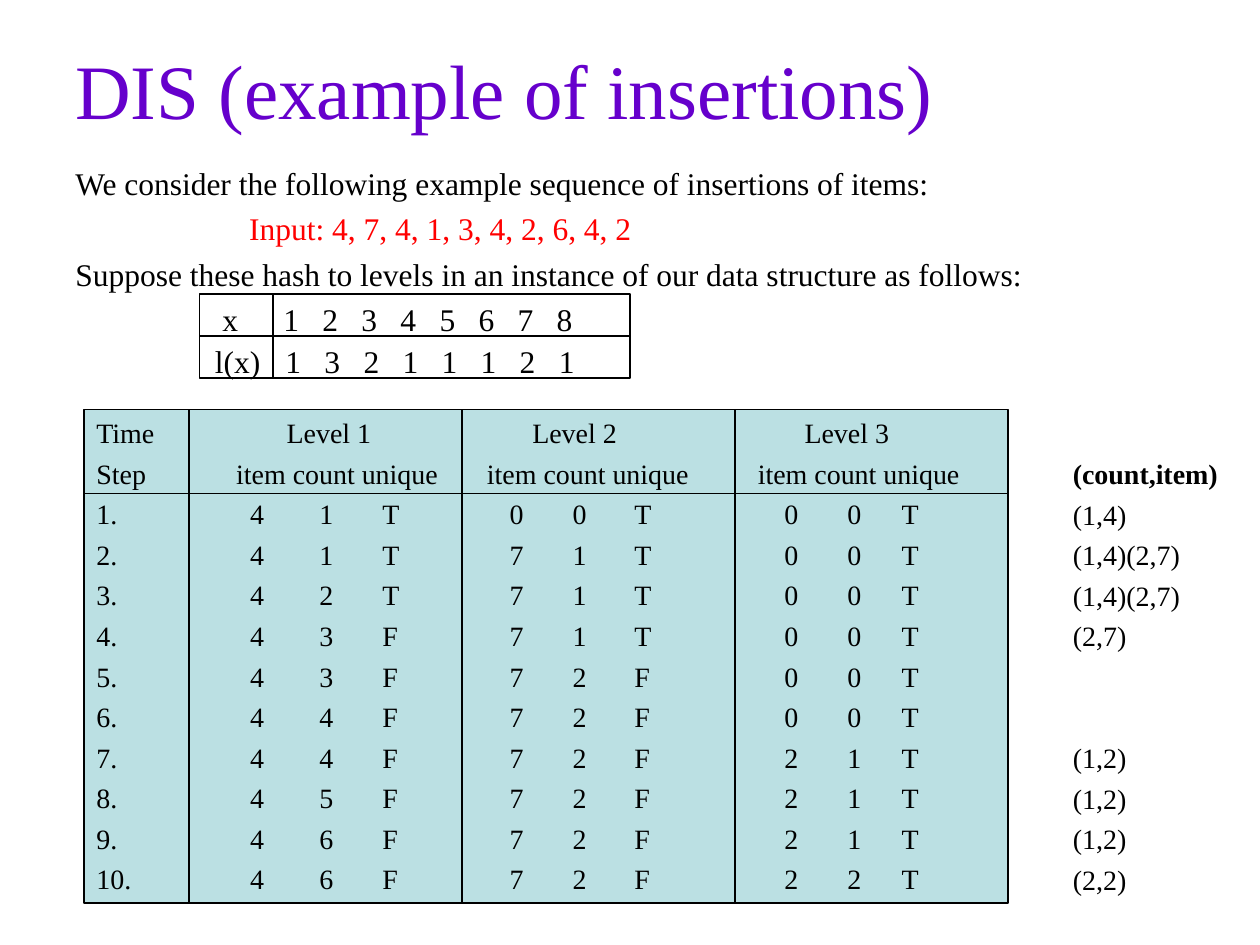
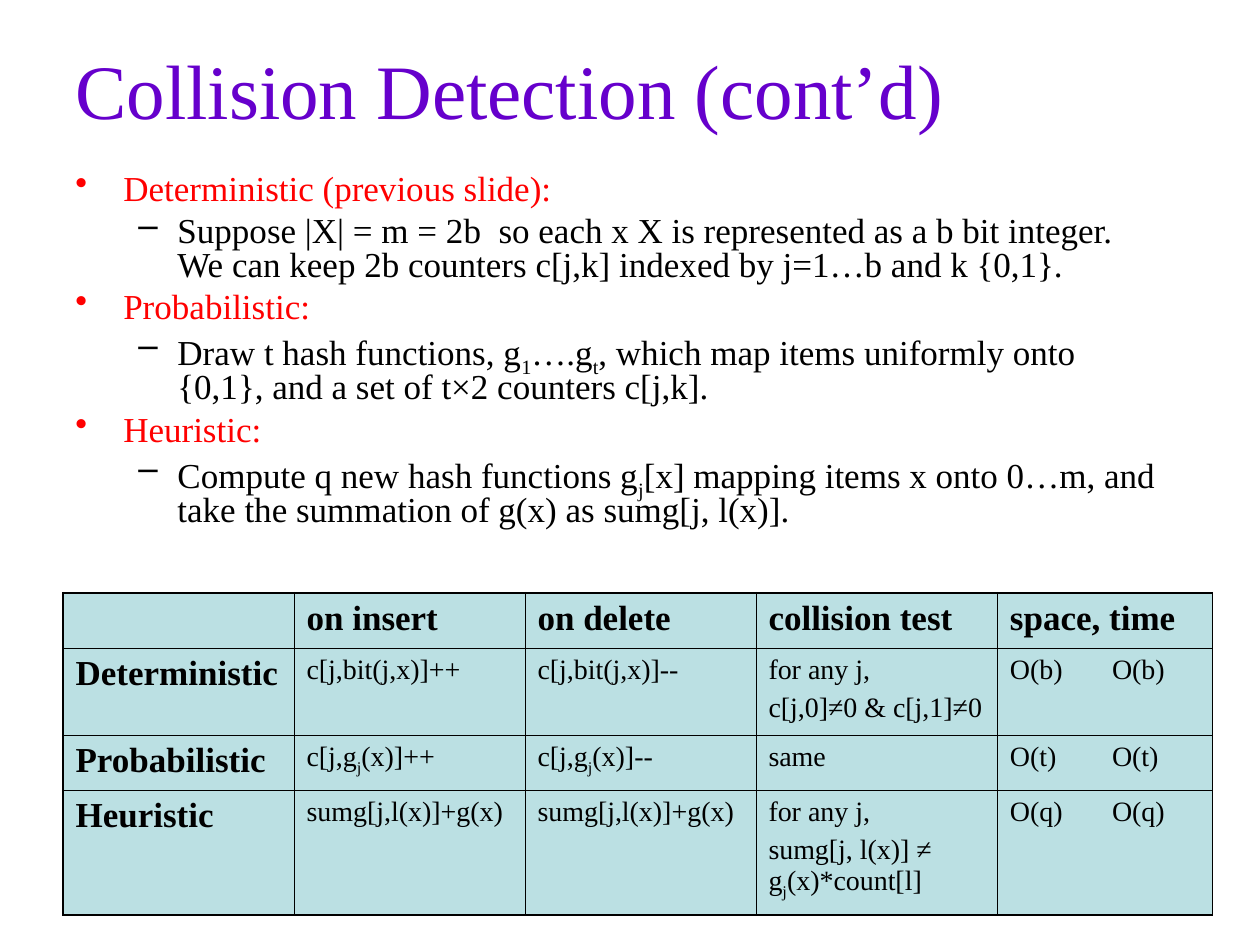
import pptx
import pptx.util
import pptx.dml.color
import pptx.enum.shapes
import pptx.enum.text
import pptx.oxml.ns
from lxml import etree

Color = pptx.dml.color.RGBColor
Pt = pptx.util.Pt
PURPLE = Color(0x66, 0x00, 0xCC)
RED = Color(0xFF, 0x00, 0x00)
BLACK = Color(0x00, 0x00, 0x00)
TEAL = Color(0xBB, 0xE0, 0xE3)
FONT = "Times New Roman"
WIDE, HIGH = 10, 7.5  # slide size in inches
CELL = WIDE / 120     # the grid has 120 columns and 90 rows


def inch(size):
    return pptx.util.Inches(size)


def grid(*cells):
    return [inch(cell * CELL) for cell in cells]


def node(parent, tag, **attrs):
    item = etree.SubElement(parent, pptx.oxml.ns.qn("a:" + tag))
    for key, value in attrs.items():
        item.set(key, str(value))
    return item


def write(frame, text, size=18, color=BLACK, bold=False, before=0, line=None,
          left=0, hang=0, bullet=None, tabs=(), first=False):
    """Add one paragraph; parts between ~ marks are subscripts."""
    para = frame.paragraphs[0] if first else frame.add_paragraph()
    para.space_before = Pt(before)
    if line:
        para.line_spacing = line
    props = para._p.get_or_add_pPr()
    if left:  # an explicit indent would cancel the tab stops
        props.set("marL", str(inch(left)))
        props.set("indent", str(inch(-hang)))
    if bullet:
        node(node(props, "buClr"), "srgbClr", val=color)
        node(props, "buChar", char=bullet)
    if tabs:
        stops = node(props, "tabLst")
        for tab in tabs:
            node(stops, "tab", pos=inch(tab), algn="l")
    for i, part in enumerate(text.split("~")):
        run = para.add_run()
        run.text = part
        run.font.name, run.font.size = FONT, Pt(size)
        run.font.bold, run.font.color.rgb = bold, color
        if i % 2:
            run._r.get_or_add_rPr().set("baseline", "-25000")


def fill(frame, lines, **style):
    """Write paragraphs, each a text or a (text, own format) pair."""
    for i, entry in enumerate(lines):
        text, own = (entry, {}) if isinstance(entry, str) else entry
        write(frame, text, first=i == 0, **{**style, **own})


def label(slide, box, lines, middle=False, **style):
    frame = slide.shapes.add_textbox(*grid(*box)).text_frame
    frame.word_wrap = True
    if middle:
        frame.vertical_anchor = pptx.enum.text.MSO_ANCHOR.MIDDLE
    fill(frame, lines, **style)


def panel(slide, box, color=None, cols=(), rows=()):
    """A framed box with rules at column and row offsets."""
    left, top, wide, high = box
    kind = pptx.enum.shapes.MSO_SHAPE.RECTANGLE
    shape = slide.shapes.add_shape(kind, *grid(*box))
    shape.shadow.inherit = False
    if color is None:
        shape.fill.background()
    else:
        shape.fill.solid()
        shape.fill.fore_color.rgb = color
    shape.line.color.rgb, shape.line.width = BLACK, Pt(0.75)
    ends = [(left + x, top, left + x, top + high) for x in cols]
    ends += [(left, top + y, left + wide, top + y) for y in rows]
    for end in ends:
        kind = pptx.enum.shapes.MSO_CONNECTOR.STRAIGHT
        rule = slide.shapes.add_connector(kind, *grid(*end))
        rule.line.color.rgb, rule.line.width = BLACK, Pt(0.75)
        node(rule._element.spPr, "effectLst")
    return shape


def page(deck, title):
    slide = deck.slides.add_slide(deck.slide_layouts[6])
    label(slide, (6, 0.9, 108, 15), [title], middle=True, size=44,
          color=PURPLE)
    return slide


# Slide 1: levels of each item
def levels(slide, box):
    left, top, wide, high = box
    half, split = high / 2, 7
    panel(slide, box, cols=[split], rows=[half])
    steps = [0.31 * i for i in range(1, 8)]
    rows = [("x", 1, -0.2, "12345678"), ("l(x)", 0.3, 0, "13211121")]
    for i, (name, shift, nudge, digits) in enumerate(rows):
        y = top + i * half
        label(slide, (left + shift, y, split + 0.5, 5), [name], before=4.5)
        label(slide, (left + split + nudge, y, wide - split, 5),
              ["\t".join(digits)], before=4.5, tabs=steps)


# Slide 1: state after each time step
STEPS = ["41T 00T 00T", "41T 71T 00T", "42T 71T 00T", "43F 71T 00T",
         "43F 72F 00T", "44F 72F 00T", "44F 72F 21T", "45F 72F 21T",
         "46F 72F 21T", "46F 72F 22T"]


def trace(slide, box):
    shape = panel(slide, box, TEAL, cols=[10, 36, 62], rows=[8])
    frame = shape.text_frame
    frame.word_wrap = True
    frame.vertical_anchor = pptx.enum.text.MSO_ANCHOR.TOP
    heads = [
        ("Time\tLevel 1\tLevel 2\tLevel 3", dict(tabs=[1.51, 3.46, 5.62])),
        ("Step" + "\titem count unique" * 3, dict(tabs=[1.11, 3.1, 5.25]))]
    stops = [1.22, 1.77, 2.27, 3.28, 3.78, 4.27, 5.46, 5.96, 6.39]
    body = [(f"{i}.\t" + "\t".join(row.replace(" ", "")), dict(tabs=stops))
            for i, row in enumerate(STEPS, 1)]
    fill(frame, heads + body, size=16, before=4)
    for para in frame.paragraphs:
        para.alignment = pptx.enum.text.PP_ALIGN.LEFT


def pairs(slide, box):
    pitch = 23.2  # points from one step to the next
    label(slide, box, [
        ("(count,item)", dict(bold=True)),
        "(1,4)", "(1,4)(2,7)", "(1,4)(2,7)", "(2,7)",
        ("(1,2)", dict(before=4 + 2 * pitch)),
        "(1,2)", "(1,2)", "(2,2)"], size=16, before=4)


def insert(deck):
    slide = page(deck, "DIS (example of insertions)")
    label(slide, (6, 15, 109, 14), [
        "We consider the following example sequence of insertions of items:",
        ("Input: 4, 7, 4, 1, 3, 4, 2, 6, 4, 2", dict(color=RED, left=1.38)),
        "Suppose these hash to levels in an instance of our data structure "
        "as follows:"], before=4.5)
    levels(slide, (19, 28, 41, 8))
    trace(slide, (8, 39, 88, 47))
    pairs(slide, (101, 42.9, 17, 43))


# Slide 2: methods as bullets
METHODS = [
    ("Deterministic (previous slide):",
     "Suppose |X| = m = 2b  so each x X is represented as a b bit integer. "
     "We can keep 2b counters c[j,k] indexed by j=1…b and k {0,1}."),
    ("Probabilistic:",
     "Draw t hash functions, g~1~….g~t~, which map items uniformly onto "
     "{0,1}, and a set of t×2 counters c[j,k]."),
    ("Heuristic:",
     "Compute q new hash functions g~j~[x] mapping items x onto 0…m, and "
     "take the summation of g(x) as sumg[j, l(x)]."),
]


def points(slide, box):
    head = dict(color=RED, left=0.38, hang=0.38, bullet="•")
    note = dict(left=0.81, hang=0.31, bullet="–")
    lines = [pair for name, text in METHODS
             for pair in ((name, head), (text, note))]
    label(slide, box, lines, size=20, line=0.8, before=5)


# Slide 2: cost table
COSTS = [
    ["", "on insert", "on delete", "collision test", "space, time"],
    ["Deterministic", "c[j,bit(j,x)]++", "c[j,bit(j,x)]--",
     "for any j,\nc[j,0]≠0 & c[j,1]≠0", "O(b)\tO(b)"],
    ["Probabilistic", "c[j,g~j~(x)]++", "c[j,g~j~(x)]--", "same",
     "O(t)\tO(t)"],
    ["Heuristic", "sumg[j,l(x)]+g(x)", "sumg[j,l(x)]+g(x)",
     "for any j,\nsumg[j, l(x)] ≠ g~j~(x)*count[l]", "O(q)\tO(q)"],
]


def border(cell, outer):
    props = cell._tc.get_or_add_tcPr()
    for side, edge in zip("LRTB", outer):
        rule = node(props, "ln" + side, w=Pt(1.08 if edge else 0.45))
        node(node(rule, "solidFill"), "srgbClr", val=BLACK)


def costs(slide, box):
    wide, high = [22, 22, 22, 23, 20.5], [5.25, 8.3, 5.25, 11.8]
    last, end = len(high) - 1, len(wide) - 1
    table = slide.shapes.add_table(last + 1, end + 1, *grid(*box)).table
    for col, size in zip(table.columns, grid(*wide)):
        col.width = size
    for row, size in zip(table.rows, grid(*high)):
        row.height = size
    for r, row in enumerate(COSTS):
        for c, text in enumerate(row):
            cell = table.cell(r, c)
            border(cell, (c == 0, c == end, r == 0, r == last))
            cell.fill.solid()
            cell.fill.fore_color.rgb = TEAL
            head = r == 0 or c == 0
            if text:
                fill(cell.text_frame, text.split("\n"), bold=head,
                     size=20 if head else 16, before=5 if head else 4,
                     tabs=[0.81] if c == end and not head else ())


def detect(deck):
    slide = page(deck, "Collision Detection (cont’d)")
    points(slide, (6, 16, 106, 37))
    costs(slide, (6, 56.45, 109.5, 30.6))


def main():
    deck = pptx.Presentation()
    deck.slide_width, deck.slide_height = inch(WIDE), inch(HIGH)
    insert(deck)
    detect(deck)
    deck.save("out.pptx")


if __name__ == "__main__":
    main()
